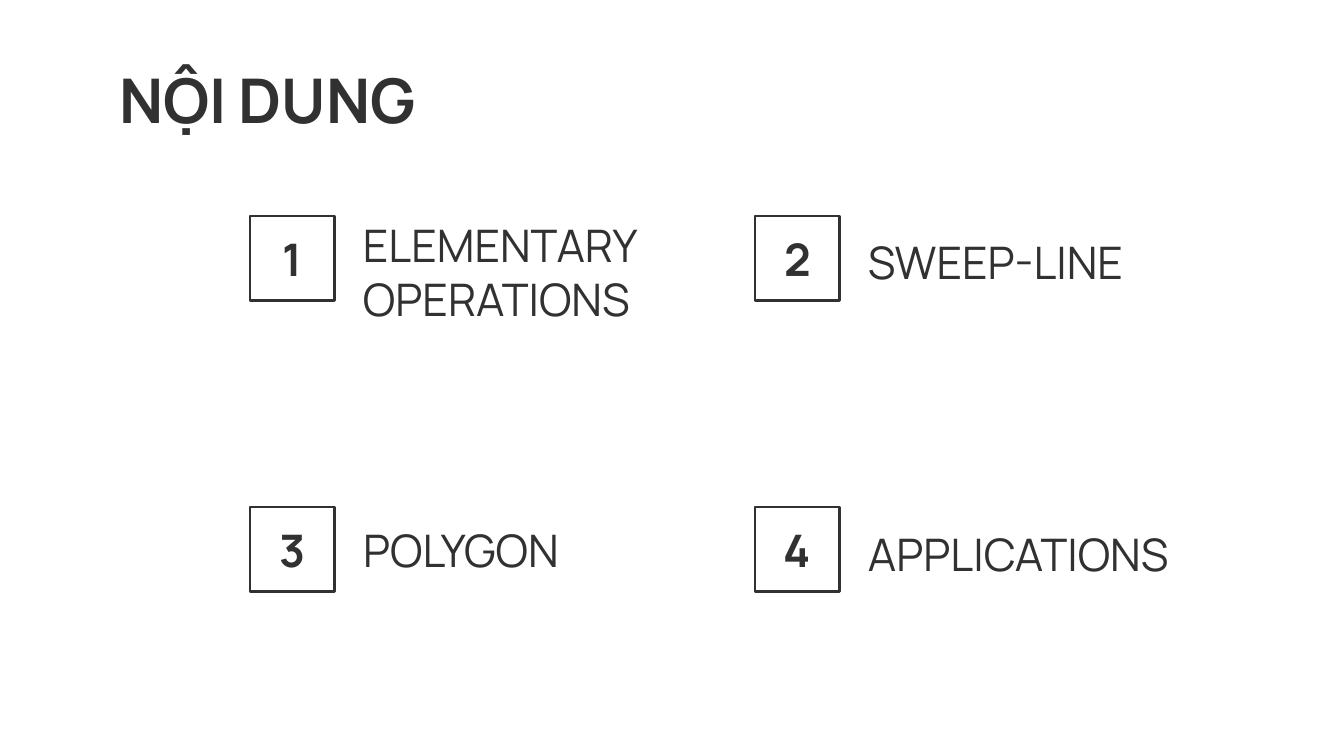
"""Build a contents slide with four numbered topics."""
from dataclasses import dataclass

from pptx import Presentation
from pptx.dml.color import RGBColor
from pptx.enum.shapes import MSO_SHAPE
from pptx.enum.text import MSO_ANCHOR, MSO_AUTO_SIZE, PP_ALIGN
from pptx.util import Pt

RECTANGLE = MSO_SHAPE.RECTANGLE
MIDDLE = MSO_ANCHOR.MIDDLE
NO_FIT = MSO_AUTO_SIZE.NONE
LEFT, CENTER = PP_ALIGN.LEFT, PP_ALIGN.CENTER
PX_PER_INCH = 134.4


@dataclass(frozen=True)
class Theme:
    ink: RGBColor = RGBColor(0x31, 0x31, 0x31)
    font: str = "Manrope"
    title_size: int = 33
    topic_size: int = 24
    outline: float = 1.5


theme = Theme()


def px(*lengths):
    return [round(length * 914400 / PX_PER_INCH) for length in lengths]


def write(shape, text, size, bold=False, align=LEFT):
    frame = shape.text_frame
    frame.text = text
    frame.word_wrap = True
    frame.auto_size = NO_FIT
    frame.vertical_anchor = MIDDLE
    inset = px(13)[0]
    frame.margin_left = frame.margin_right = inset
    frame.margin_top = frame.margin_bottom = inset
    paragraph = frame.paragraphs[0]
    paragraph.alignment = align
    paragraph.font.name = theme.font
    paragraph.font.size = Pt(size)
    paragraph.font.bold = bold
    paragraph.font.color.rgb = theme.ink


prs = Presentation()
prs.slide_width, prs.slide_height = px(1344, 756)
slide = prs.slides.add_slide(prs.slide_layouts[5])

heading = slide.shapes.title
heading.left, heading.top, heading.width, heading.height = px(106, 56, 933, 85)
write(heading, "NỘI DUNG", theme.title_size, bold=True)

BADGE = 85
TOPIC_OFFSET = 100
columns = (250, 755)
rows = (216, 507)
topics = [
    ("ELEMENTARY OPERATIONS", 204, 323, 136),
    ("SWEEP-LINE", 223, 308, 78),
    ("POLYGON", 511, 282, 78),
    ("APPLICATIONS", 515, 368, 78),
]

for index, (topic, topic_top, topic_width, topic_height) in enumerate(topics):
    row, column = divmod(index, len(columns))
    left = columns[column]

    badge = slide.shapes.add_shape(RECTANGLE, *px(left, rows[row], BADGE, BADGE))
    badge.shadow.inherit = False
    badge.fill.background()
    badge.line.color.rgb = theme.ink
    badge.line.width = Pt(theme.outline)
    write(badge, str(index + 1), theme.topic_size, bold=True, align=CENTER)

    label = slide.shapes.add_textbox(
        *px(left + TOPIC_OFFSET, topic_top, topic_width, topic_height)
    )
    write(label, topic, theme.topic_size)

prs.save("out.pptx")
